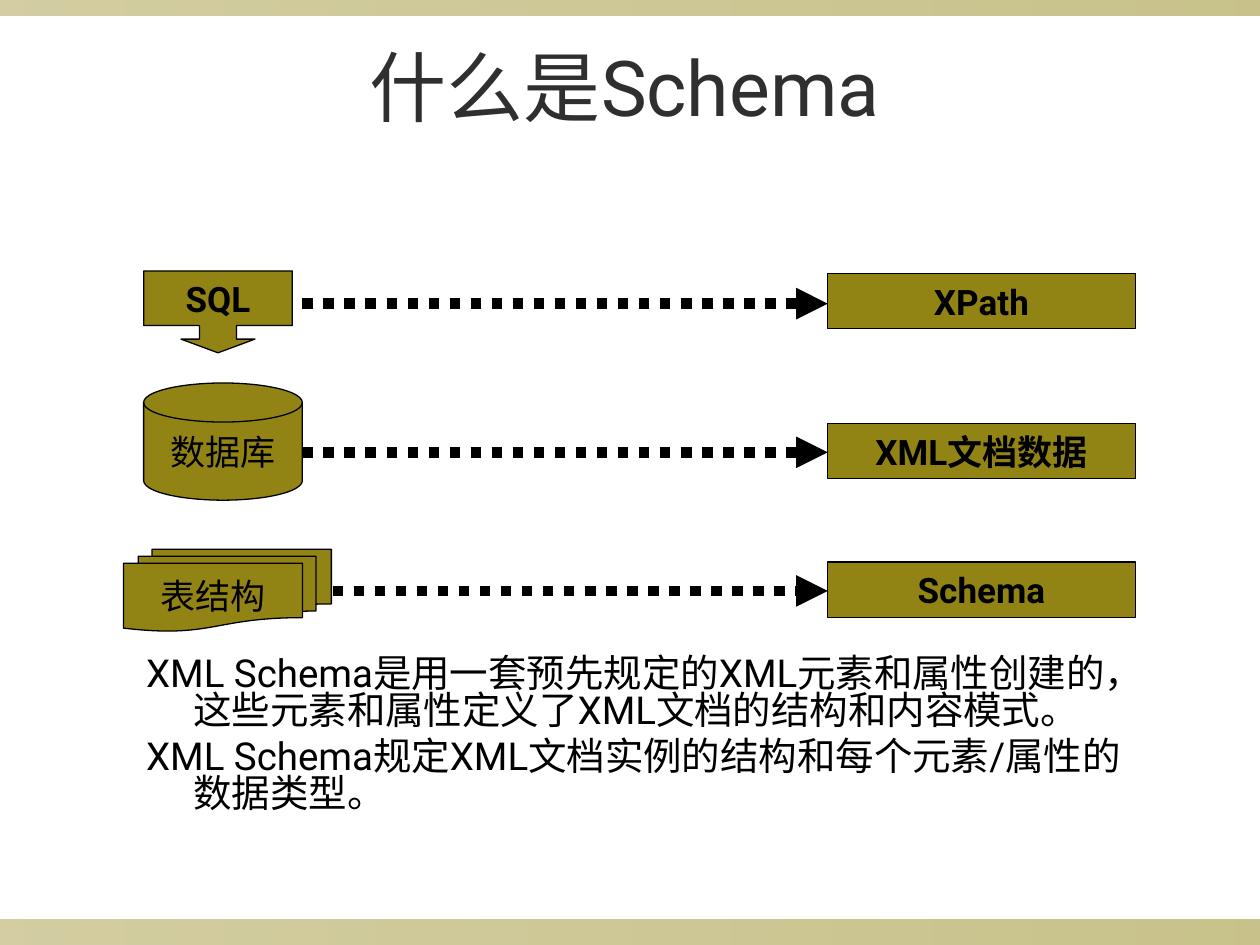
"""Build a slide that maps database concepts to their XML counterparts."""
from lxml.etree import SubElement
from pptx import Presentation
from pptx.dml.color import RGBColor
from pptx.enum.dml import MSO_LINE
from pptx.enum.shapes import MSO_CONNECTOR, MSO_SHAPE
from pptx.enum.text import MSO_ANCHOR, MSO_AUTO_SIZE, PP_ALIGN
from pptx.oxml.ns import qn
from pptx.util import Pt

OLIVE = RGBColor(0x91, 0x84, 0x15)
BLACK = RGBColor(0, 0, 0)
CHARCOAL = RGBColor(0x2F, 0x2F, 0x2F)
FONT = "Roboto"


def format_font(paragraph, size, color, bold=False):
    for run in paragraph.runs:
        run.font.name = FONT
        run.font.size = Pt(size)
        run.font.color.rgb = color
        run.font.bold = bold


def add_box(slide, kind, left, top, width, height, text, bold):
    shape = slide.shapes.add_shape(kind, Pt(left), Pt(top), Pt(width), Pt(height))
    shape.shadow.inherit = False
    shape.fill.solid()
    shape.fill.fore_color.rgb = OLIVE
    shape.line.color.rgb = BLACK
    shape.line.width = Pt(0.75)
    text_frame = shape.text_frame
    text_frame.text = text
    text_frame.word_wrap = True
    text_frame.vertical_anchor = MSO_ANCHOR.MIDDLE
    paragraph = text_frame.paragraphs[0]
    paragraph.alignment = PP_ALIGN.CENTER
    format_font(paragraph, 20, BLACK, bold)
    return shape


presentation = Presentation()
presentation.slide_width = Pt(720)
presentation.slide_height = Pt(540)
slide = presentation.slides.add_slide(presentation.slide_layouts[1])

for top, height in ((525.6, 14.4), (0, 8.64)):
    band = slide.shapes.add_shape(MSO_SHAPE.RECTANGLE, 0, Pt(top), Pt(720), Pt(height))
    band.shadow.inherit = False
    band.line.fill.background()
    band.fill.gradient()
    band.fill.gradient_angle = 0
    for stop in band.fill.gradient_stops:
        stop.color.rgb = OLIVE
    colors = band._element.spPr.iter(qn("a:srgbClr"))
    for color, opacity in zip(colors, ("40000", "50000")):
        SubElement(color, qn("a:alpha"), val=opacity)

title = slide.shapes.title
title.left, title.top, title.width, title.height = Pt(48.24), Pt(15.12), Pt(617.76), Pt(67.68)
title.text_frame.text = "什么是Schema"
title.text_frame.auto_size = MSO_AUTO_SIZE.NONE
title.text_frame.vertical_anchor = MSO_ANCHOR.MIDDLE
title.text_frame.paragraphs[0].alignment = PP_ALIGN.CENTER
format_font(title.text_frame.paragraphs[0], 44, CHARCOAL)

body = slide.placeholders[1]
body.left, body.top, body.width, body.height = Pt(76.32), Pt(372.24), Pt(576), Pt(118.8)
body.text_frame.text = (
    "XML Schema是用一套预先规定的XML元素和属性创建的，这些元素和属性定义了XML文档的结构和内容模式。\n"
    "XML Schema规定XML文档实例的结构和每个元素/属性的数据类型。"
)
body.text_frame.auto_size = MSO_AUTO_SIZE.NONE
for index, paragraph in enumerate(body.text_frame.paragraphs):
    properties = paragraph._element.get_or_add_pPr()
    properties.set("marL", str(Pt(27)))
    properties.set("indent", str(Pt(-27)))
    SubElement(properties, qn("a:buNone"))
    paragraph.line_spacing = 0.8
    paragraph.space_before = Pt(5.5 if index else 0)
    format_font(paragraph, 22, BLACK)

add_box(slide, MSO_SHAPE.FLOWCHART_MAGNETIC_DISK, 82.08, 218.88, 90.72, 66.96, "数据库", False)
add_box(slide, MSO_SHAPE.FLOWCHART_MULTIDOCUMENT, 70.56, 313.92, 118.8, 46.8, "表结构", False)
callout = add_box(slide, MSO_SHAPE.DOWN_ARROW_CALLOUT, 82.08, 154.8, 84.96, 46.8, "SQL", True)
for index, value in enumerate((0.452, 0.452, 0.167, 0.667)):
    callout.adjustments[index] = value

targets = (
    ("XPath", 156.24, 172.8, 173.52),
    ("XML文档数据", 241.92, 172.8, 258.48),
    ("Schema", 321.12, 190.08, 337.68),
)
for text, top, arrow_start, arrow_y in targets:
    add_box(slide, MSO_SHAPE.RECTANGLE, 473.04, top, 175.68, 31.68, text, True)
    arrow = slide.shapes.add_connector(
        MSO_CONNECTOR.STRAIGHT, Pt(arrow_start), Pt(arrow_y), Pt(473.04), Pt(arrow_y)
    )
    arrow.line.color.rgb = BLACK
    arrow.line.width = Pt(6)
    arrow.line.dash_style = MSO_LINE.ROUND_DOT
    SubElement(arrow.line._get_or_add_ln(), qn("a:tailEnd"), type="triangle")
    SubElement(arrow._element.spPr, qn("a:effectLst"))

presentation.save("out.pptx")
